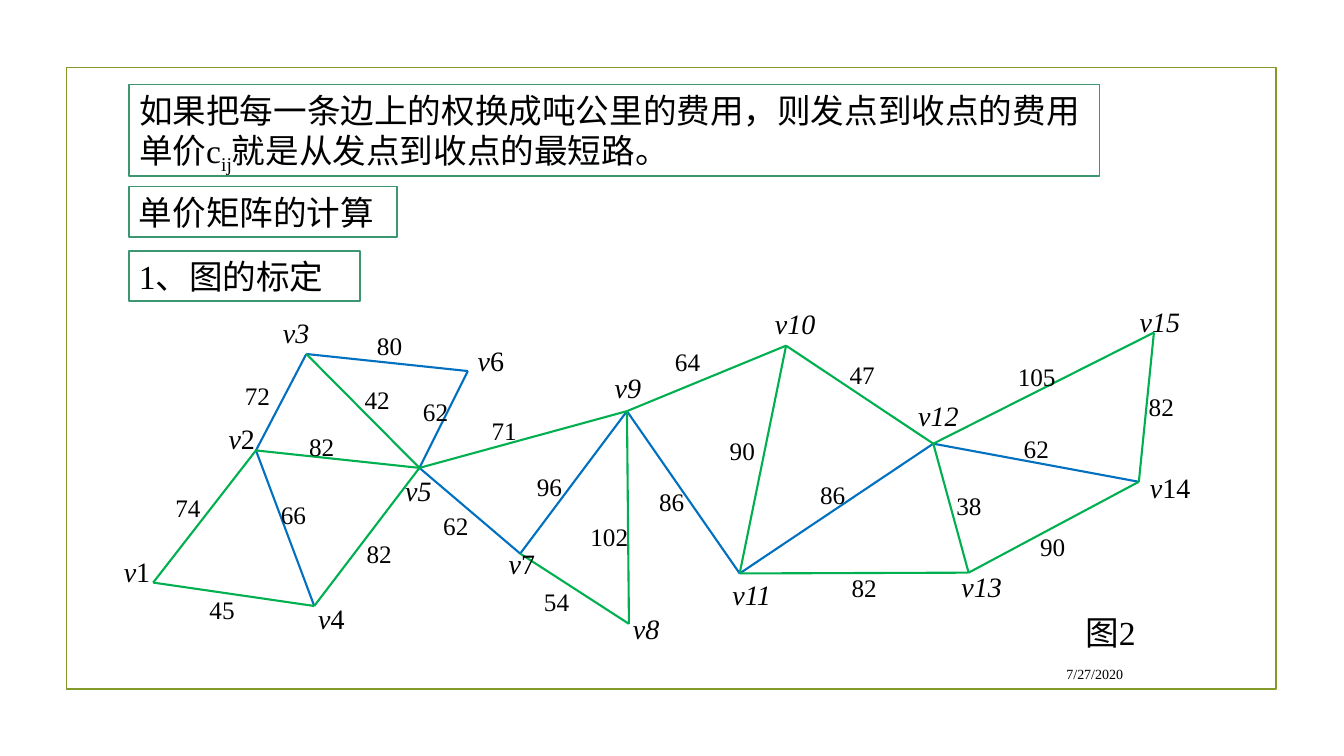
"""Build a slide with a weighted road network and its captions."""
from dataclasses import dataclass

from lxml.etree import SubElement
from pptx import Presentation
from pptx.dml.color import RGBColor as Rgb
from pptx.enum.shapes import MSO_CONNECTOR as Link, MSO_SHAPE as Kind
from pptx.enum.text import MSO_ANCHOR as Anchor, PP_ALIGN as Align
from pptx.oxml.ns import qn
from pptx.util import Cm, Pt


@dataclass(frozen=True)
class Theme:
    face: str = "Times New Roman"
    ink: str = "000000"
    paper: str = "FFFFFF"
    frame: str = "83992A"
    edge: str = "3C9770"
    blue: str = "0070C0"
    green: str = "00B050"
    head: float = 24
    node: float = 20
    cost: float = 18
    date: float = 10
    thin: float = 1.25
    road: float = 1.5


class Page:
    def __init__(self, slide, theme):
        self.slide = slide
        self.theme = theme
        self.shapes = slide.shapes

    def place(self, shape, area):
        for name, value in zip(("left", "top", "width", "height"), area):
            setattr(shape, name, Cm(value))

    def letter(self, shape, runs, size, align=Align.LEFT, anchor=Anchor.TOP):
        frame = shape.text_frame
        for name, value in {"word_wrap": True, "vertical_anchor": anchor}.items():
            setattr(frame, name, value)
        para = frame.paragraphs[0]
        para.alignment = align
        for words, slant, base in runs:
            run = para.add_run()
            run.text = words
            form = {"name": self.theme.face, "size": Pt(size), "italic": slant}
            for name, value in form.items():
                setattr(run.font, name, value)
            run.font.color.rgb = Rgb.from_string(self.theme.ink)
            if base:
                run.font._element.set("baseline", str(base * 1000))

    def border(self, shape, color):
        shape.line.color.rgb = Rgb.from_string(color)
        shape.line.width = Pt(self.theme.thin)

    def fill(self, shape):
        shape.fill.solid()
        shape.fill.fore_color.rgb = Rgb.from_string(self.theme.paper)

    def frame(self, area):
        shape = self.shapes.add_shape(Kind.RECTANGLE, *map(Cm, area))
        shape.shadow.inherit = False
        shape.fill.background()
        self.border(shape, self.theme.frame)

    def title(self, runs, area):
        shape = self.shapes.title
        self.place(shape, area)
        self.fill(shape)
        self.border(shape, self.theme.edge)
        self.letter(shape, runs, self.theme.head)

    def box(self, words, area):
        shape = self.shapes.add_shape(Kind.RECTANGLE, *map(Cm, area))
        shape.shadow.inherit = False
        self.fill(shape)
        self.border(shape, self.theme.edge)
        self.letter(shape, [(words, False, 0)], self.theme.head)

    def text(self, runs, area, size, **form):
        shape = self.shapes.add_textbox(*map(Cm, area))
        self.letter(shape, runs, size, **form)

    def label(self, runs, spot, size):
        count = sum(len(words) for words, *_ in runs)
        self.text(runs, (*spot, 0.7 + 0.3 * count, 1.1), size)

    def line(self, start, end, color):
        link = self.shapes.add_connector(Link.STRAIGHT, *map(Cm, (*start, *end)))
        link.line.color.rgb = Rgb.from_string(color)
        link.line.width = Pt(self.theme.road)
        SubElement(link._element.spPr, qn("a:effectLst"))


NODES = {
    1: ((3.86, 14.68), (2.87, 13.84)),
    2: ((6.45, 11.35), (5.51, 10.49)),
    3: ((7.72, 8.92), (6.88, 7.82)),
    4: ((7.92, 15.27), (7.77, 15.04)),
    5: ((10.57, 11.79), (9.96, 11.81)),
    6: ((11.79, 9.35), (11.79, 8.53)),
    7: ((13.11, 13.95), (12.57, 13.64)),
    8: ((15.85, 15.72), (15.7, 15.29)),
    9: ((15.8, 10.36), (15.24, 9.22)),
    10: ((19.81, 8.71), (19.28, 7.59)),
    11: ((18.64, 14.45), (18.21, 14.43)),
    12: ((23.52, 11.18), (22.89, 9.91)),
    13: ((24.41, 14.43), (23.98, 14.22)),
    14: ((28.7, 12.14), (28.73, 11.73)),
    15: ((29.08, 8.38), (28.47, 7.54)),
}
PLAIN = {1, 2, 4, 6, 7, 14}
ROADS = {
    "blue": [
        (2, 3, 72, (5.92, 9.47)),
        (3, 6, 80, (9.25, 8.2)),
        (5, 6, 62, (10.41, 9.86)),
        (2, 4, 66, (6.83, 12.47)),
        (7, 9, 96, (13.28, 11.76)),
        (5, 7, 62, (10.92, 12.73)),
        (9, 11, 86, (16.36, 12.12)),
        (11, 12, 86, (20.42, 11.96)),
        (12, 14, 62, (25.55, 10.8)),
    ],
    "green": [
        (5, 9, 71, (12.14, 10.34)),
        (3, 5, 42, (8.94, 9.55)),
        (4, 5, 82, (8.99, 13.44)),
        (1, 2, 74, (4.17, 12.27)),
        (1, 4, 45, (5.03, 14.86)),
        (11, 13, 82, (21.21, 14.3)),
        (2, 5, 82, (7.54, 10.74)),
        (9, 10, 64, (16.76, 8.61)),
        (10, 12, 47, (21.16, 8.94)),
        (12, 13, 38, (23.85, 12.22)),
        (10, 11, 90, (18.14, 10.85)),
        (7, 8, 54, (13.46, 14.66)),
        (8, 9, 102, (14.63, 13)),
        (13, 14, 90, (25.96, 13.26)),
        (12, 15, 105, (25.4, 8.97)),
        (14, 15, 82, (28.7, 9.73)),
    ],
}


def main():
    deck = Presentation()
    deck.slide_width, deck.slide_height = Cm(33.87), Cm(19.05)
    theme = Theme()
    page = Page(deck.slides.add_slide(deck.slide_layouts[5]), theme)

    page.frame((1.68, 1.7, 30.48, 15.67))
    page.title(
        [
            ("如果把每一条边上的权换成吨公里的费用，则发点到收点的费用单价c", False, 0),
            ("ij", False, -25),
            ("就是从发点到收点的最短路。", False, 0),
        ],
        (3.25, 2.13, 24.46, 2.31),
    )
    page.box("单价矩阵的计算", (3.25, 4.7, 6.76, 1.27))
    page.box("1、图的标定", (3.25, 6.32, 5.82, 1.27))

    for color, roads in ROADS.items():
        for start, end, _, _ in roads:
            page.line(NODES[start][0], NODES[end][0], getattr(theme, color))
    for roads in ROADS.values():
        for _, _, cost, spot in roads:
            page.label([(str(cost), False, 0)], spot, theme.cost)
    for key, (_, spot) in NODES.items():
        runs = [("v", True, 0), (str(key), key not in PLAIN, 0)]
        page.label(runs, spot, theme.node)

    page.text([("图2", False, 0)], (27.1, 15.29, 2.97, 1.27), theme.head)
    page.text([("7/27/2020", False, 0)], (24.1, 16.59, 4.45, 0.79), theme.date,
              align=Align.RIGHT, anchor=Anchor.MIDDLE)
    deck.save("out.pptx")


if __name__ == "__main__":
    main()
